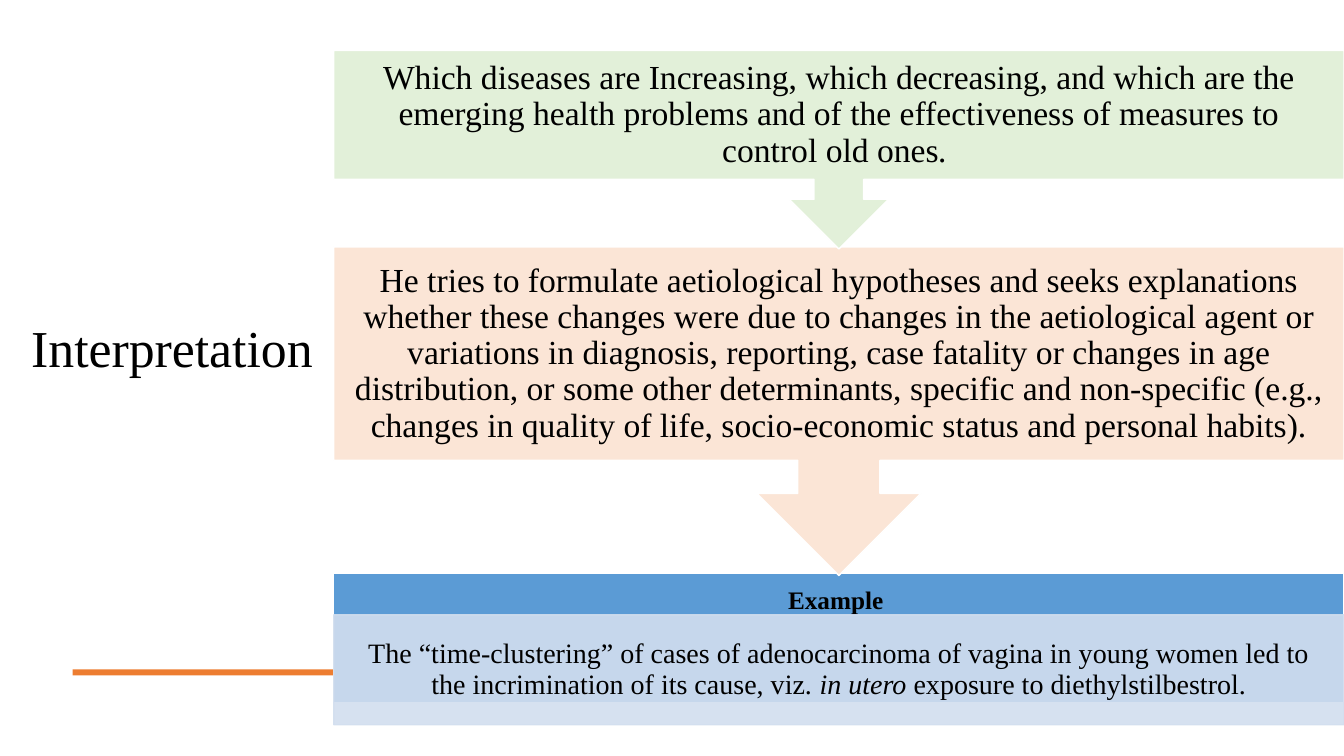
from lxml import etree
from pptx import Presentation
from pptx.dml.color import RGBColor
from pptx.enum.shapes import MSO_SHAPE
from pptx.enum.text import MSO_ANCHOR, MSO_AUTO_SIZE, PP_ALIGN
from pptx.oxml.ns import qn
from pptx.util import Inches, Pt

FONT = "Times New Roman"
FLOW_LEFT, FLOW_WIDTH = 3.31, 10.02

CHANGES = [("Which diseases are Increasing, which decreasing, and which are the "
            "emerging health problems and of the effectiveness of measures to "
            "control old ones", {}), (". ", {"italic": True})]
HYPOTHESES = [("He tries to formulate aetiological hypotheses and seeks explanations "
               "whether these changes were due to changes in the aetiological agent or "
               "variations in diagnosis, reporting, case fatality or changes in age "
               "distribution, or some other determinants, specific and non-specific "
               "(e.g., changes in quality of life, socio-economic status and personal "
               "habits).", {})]
EXAMPLE = [("The “time-clustering” of cases of adenocarcinoma of vagina in young "
            "women led to the incrimination of its cause, viz. ", {}),
           ("in utero ", {"italic": True}),
           ("exposure to diethylstilbestrol.", {})]


def color(value):
    return RGBColor.from_string(value)


def set_alpha(fill_owner, percent):
    """Make the solid fill directly inside an element partly transparent."""
    clr = fill_owner.find(qn("a:solidFill")).find(qn("a:srgbClr"))
    etree.SubElement(clr, qn("a:alpha")).set("val", str(percent * 1000))


def write(sp, runs, size, align=PP_ALIGN.CENTER, anchor=MSO_ANCHOR.MIDDLE,
          inset_x=0.1, inset_y=0.05):
    tf = sp.text_frame
    frame = {"word_wrap": True, "auto_size": MSO_AUTO_SIZE.NONE,
             "vertical_anchor": anchor,
             "margin_left": Inches(inset_x), "margin_right": Inches(inset_x),
             "margin_top": Inches(inset_y), "margin_bottom": Inches(inset_y)}
    for name, value in frame.items():
        setattr(tf, name, value)
    p = tf.paragraphs[0]
    p.alignment = align
    p.line_spacing = 0.9
    for text, extra in runs:
        r = p.add_run()
        r.text = text
        fmt = {"name": FONT, "size": Pt(size), "bold": False, "italic": False}
        for name, value in {**fmt, **extra}.items():
            setattr(r.font, name, value)
        r.font.color.rgb = color("000000")


def add_block(slide, kind, box, fill, line=None):
    sp = slide.shapes.add_shape(kind, *map(Inches, box))
    sp.shadow.inherit = False
    sp.fill.solid()
    sp.fill.fore_color.rgb = color(fill)
    if line:
        sp.line.color.rgb = color(line)
        sp.line.width = Pt(1)
    else:
        sp.line.fill.background()
    return sp


def add_heading(slide, box):
    left, top, width, height = box
    title = slide.shapes.title
    place = {"left": left, "top": top, "width": width, "height": height}
    for name, value in place.items():
        setattr(title, name, Inches(value))
    write(title, [("Interpretation", {})], 37, PP_ALIGN.LEFT)
    # Accent bar, ending half an inch under the flow
    add_block(slide, MSO_SHAPE.RECTANGLE,
              (left + 0.51, top + height + 0.18, width, 0.06), "ED7D31")


def add_step(slide, box, fill, runs):
    sp = add_block(slide, MSO_SHAPE.DOWN_ARROW_CALLOUT, box, fill, "FFFFFF")
    write(sp, runs, 24, inset_x=0.19, inset_y=0.19)


def add_example(slide, box):
    left, top, width, height = box
    # Header band
    header = add_block(slide, MSO_SHAPE.RECTANGLE, box, "5B9BD5", "FFFFFF")
    write(header, [("Example ", {"bold": True})], 18,
          anchor=MSO_ANCHOR.TOP, inset_x=0.14, inset_y=0.14)
    # Translucent body, overhanging the band
    body = add_block(slide, MSO_SHAPE.RECTANGLE,
                     (left, top + 0.41, width, height - 0.19), "D2DEEF", "D2DEEF")
    sp_pr = body.element.spPr
    for owner in (sp_pr, sp_pr.find(qn("a:ln"))):
        set_alpha(owner, 90)
    write(body, EXAMPLE, 20, inset_x=0.16, inset_y=0.03)


def main():
    prs = Presentation()
    prs.slide_width, prs.slide_height = Inches(13.33), Inches(7.5)
    slide = prs.slides.add_slide(prs.slide_layouts[5])

    add_heading(slide, (0.21, 0.49, 3.1, 5.97))
    # Flow from bottom to top, so each arrow tip overlaps the block below
    add_example(slide, (FLOW_LEFT, 5.69, FLOW_WIDTH, 1.28))
    for top, height, fill, runs in [(2.45, 3.26, "FBE5D6", HYPOTHESES),
                                    (0.5, 1.97, "E2F0D9", CHANGES)]:
        add_step(slide, (FLOW_LEFT, top, FLOW_WIDTH, height), fill, runs)

    prs.save("out.pptx")


if __name__ == "__main__":
    main()
